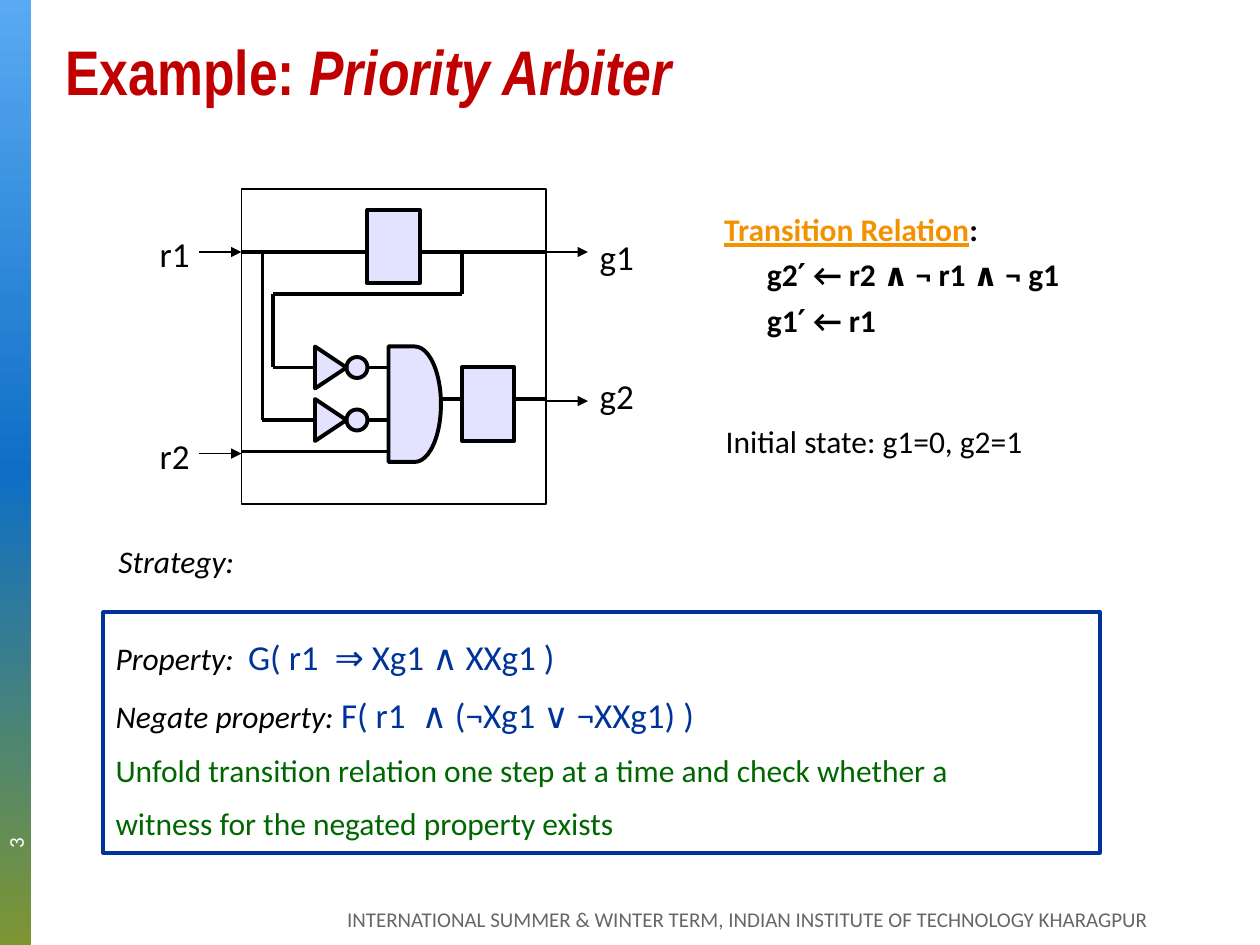
from dataclasses import dataclass, field
from typing import Optional

from lxml.etree import SubElement
from pptx import Presentation
from pptx.dml.color import RGBColor
from pptx.enum.shapes import MSO_CONNECTOR, MSO_SHAPE
from pptx.enum.text import MSO_ANCHOR, PP_ALIGN
from pptx.oxml.ns import qn
from pptx.util import Cm, Pt

COLORS = {
    "black": "000000", "white": "FFFFFF", "title": "C00000", "heading": "F49100",
    "formula": "003399", "plan": "006600", "footer": "666666", "gate": "E3E3FF",
}
BAND_STOPS = {0: "59AAF2", 50: "0F6FC6", 100: "7E9632"}
GRID = 2.54 / 12


@dataclass
class Run:
    text: str
    size: float = 18
    color: str = "black"
    format: dict = field(default_factory=dict)


@dataclass
class Paragraph:
    runs: list[Run]
    indent: float = 0


@dataclass
class TextBlock:
    left: float
    top: float
    width: float
    height: float
    paragraphs: list[Paragraph]
    frame: dict = field(default_factory=dict)
    layout: dict = field(default_factory=dict)
    rotation: float = 0
    outline: Optional[str] = None


@dataclass
class Part:
    kind: MSO_SHAPE
    left: float
    top: float
    width: float
    height: float
    fill: Optional[str] = "gate"
    weight: float = 2.25
    rotation: float = 0


@dataclass
class Wire:
    points: list[tuple[float, float]]
    weight: float = 2.25
    arrow: bool = False


def apply_format(target, values: dict) -> None:
    for name, value in values.items():
        setattr(target, name, value)


def rgb(name: str) -> RGBColor:
    return RGBColor.from_string(COLORS[name])


def draw_band(slide) -> None:
    shape = slide.shapes.add_shape(MSO_SHAPE.RECTANGLE, 0, 0, Cm(0.635), Cm(19.05))
    shape.shadow.inherit = False
    shape.line.fill.background()
    shape.fill.gradient()
    shape.fill.gradient_angle = 270
    stops = shape._element.spPr.find(qn("a:gradFill")).find(qn("a:gsLst"))
    for stop in list(stops):
        stops.remove(stop)
    for position, color in BAND_STOPS.items():
        stop = SubElement(stops, qn("a:gs"), pos=str(position * 1000))
        SubElement(stop, qn("a:srgbClr"), val=color)


def draw_text(slide, block: TextBlock) -> None:
    place = [Cm(v) for v in (block.left, block.top, block.width, block.height)]
    shape = slide.shapes.add_textbox(*place)
    shape.rotation = block.rotation
    if block.outline:
        shape.line.color.rgb = rgb(block.outline)
        shape.line.width = Pt(2.25)
    frame = shape.text_frame
    apply_format(frame, {"word_wrap": False, **block.frame})
    for index, item in enumerate(block.paragraphs):
        paragraph = frame.paragraphs[0] if index == 0 else frame.add_paragraph()
        apply_format(paragraph, block.layout)
        if item.indent:
            properties = paragraph._p.get_or_add_pPr()
            properties.set("marL", str(Cm(item.indent)))
            properties.set("indent", "0")
        for piece in item.runs:
            run = paragraph.add_run()
            run.text = piece.text
            apply_format(run.font, {"name": "Calibri", "size": Pt(piece.size), **piece.format})
            run.font.color.rgb = rgb(piece.color)


def draw_part(slide, part: Part) -> None:
    place = [Cm(v * GRID) for v in (part.left, part.top, part.width, part.height)]
    shape = slide.shapes.add_shape(part.kind, *place)
    shape.shadow.inherit = False
    shape.rotation = part.rotation
    if part.fill:
        shape.fill.solid()
        shape.fill.fore_color.rgb = rgb(part.fill)
    else:
        shape.fill.background()
    shape.line.color.rgb = rgb("black")
    shape.line.width = Pt(part.weight)


def draw_wire(slide, wire: Wire) -> None:
    for start, end in zip(wire.points, wire.points[1:]):
        place = [Cm(v * GRID) for v in (*start, *end)]
        connector = slide.shapes.add_connector(MSO_CONNECTOR.STRAIGHT, *place)
        connector.line.color.rgb = rgb("black")
        connector.line.width = Pt(wire.weight)
        if wire.arrow:
            SubElement(connector.line._get_or_add_ln(), qn("a:tailEnd"), type="triangle")
        SubElement(connector._element.spPr, qn("a:effectLst"))


ITALIC = {"italic": True}
BOLD = {"bold": True}
TITLE = {"name": "Arial Narrow", "bold": True}
MIDDLE = {"word_wrap": True, "vertical_anchor": MSO_ANCHOR.MIDDLE}

TEXTS = [
    TextBlock(-3.33, 13.39, 7.29, 0.64, [Paragraph([Run("3", 12, "white")])], MIDDLE, rotation=270),
    TextBlock(1.07, 0.2, 20.96, 2.11, [Paragraph([
        Run("Example: ", 36, "title", TITLE),
        Run("Priority Arbiter", 36, "title", {**TITLE, **ITALIC}),
    ])], {"word_wrap": True, "vertical_anchor": MSO_ANCHOR.BOTTOM}),
    TextBlock(14.35, 3.96, 7.42, 2.95, [
        Paragraph([
            Run("Transition Relation", color="heading", format={**BOLD, "underline": True}),
            Run(":", format=BOLD),
        ]),
        Paragraph([Run("g2′ ← r2 ∧ ¬ r1 ∧ ¬ g1", format=BOLD)], 0.86),
        Paragraph([Run("g1′ ← r1", format=BOLD)], 0.86),
    ], layout={"line_spacing": 1.2}),
    TextBlock(2.08, 12.34, 20.09, 4.85, [
        Paragraph([Run("Property:  ", format=ITALIC),
                   Run("G( r1  ⇒ Xg1 ∧ XXg1 )", 20, "formula")]),
        Paragraph([Run("Negate property: ", format=ITALIC),
                   Run("F( r1  ∧ (¬Xg1 ∨ ¬XXg1) )", 20, "formula")]),
        Paragraph([Run("Unfold transition relation one step at a time and check whether a", color="plan")]),
        Paragraph([Run("witness for the negated property exists", color="plan")]),
    ], {"word_wrap": True}, {"line_spacing": 1.4}, outline="formula"),
    TextBlock(1.93, 10.8, 3.25, 1.02, [Paragraph([Run("Strategy:", format=ITALIC)])],
              layout={"alignment": PP_ALIGN.CENTER}),
    TextBlock(14.38, 8.38, 7.49, 1.02, [Paragraph([Run("Initial state: g1=0, g2=1")])]),
    TextBlock(3.51, 18.21, 19.89, 0.64, [Paragraph([Run(
        "INTERNATIONAL SUMMER & WINTER TERM, INDIAN INSTITUTE OF TECHNOLOGY KHARAGPUR", 12, "footer",
    )])], MIDDLE, {"alignment": PP_ALIGN.RIGHT}),
]
TEXTS += [
    TextBlock(left, top, width, 1.09, [Paragraph([Run(name, 20)])])
    for name, left, top, width in (
        ("r1", 2.97, 4.57, 1.14), ("r2", 2.97, 8.64, 1.14),
        ("g1", 11.84, 4.62, 1.3), ("g2", 11.84, 7.42, 1.3),
    )
]

INVERTER_ROWS = (35, 40)
PARTS = [
    Part(MSO_SHAPE.RECTANGLE, 23, 18, 29, 30, None, 0.75),
    Part(MSO_SHAPE.RECTANGLE, 35, 20, 5, 7),
    Part(MSO_SHAPE.FLOWCHART_DELAY, 37, 33, 5, 11),
    Part(MSO_SHAPE.RECTANGLE, 44, 35, 5, 7),
]
for row in INVERTER_ROWS:
    PARTS += [
        Part(MSO_SHAPE.OVAL, 33, row - 1, 2, 2),
        Part(MSO_SHAPE.FLOWCHART_MERGE, 29.5, row - 1.5, 4, 3, rotation=270),
    ]

WIRES = [
    Wire([(23, 24), (35, 24)]),
    Wire([(25, 24), (25, 40), (30, 40)]),
    Wire([(37, 43), (23, 43)]),
    Wire([(42, 38), (44, 38)]),
    Wire([(40, 24), (52, 24)]),
    Wire([(49, 38), (52, 38)]),
    Wire([(44, 24), (44, 28), (26, 28), (26, 35), (30, 35)]),
]
WIRES += [Wire([(35, row), (37, row)]) for row in INVERTER_ROWS]
WIRES += [
    Wire([(left, row), (left + 4, row)], 0.75, True)
    for left, row in ((19, 24), (19, 43.2), (52, 24), (52, 38.2))
]


def main() -> None:
    presentation = Presentation()
    apply_format(presentation, {"slide_width": Cm(25.4), "slide_height": Cm(19.05)})
    slide = presentation.slides.add_slide(presentation.slide_layouts[6])
    draw_band(slide)
    for part in PARTS:
        draw_part(slide, part)
    for wire in WIRES:
        draw_wire(slide, wire)
    for block in TEXTS:
        draw_text(slide, block)
    presentation.save("out.pptx")


if __name__ == "__main__":
    main()
